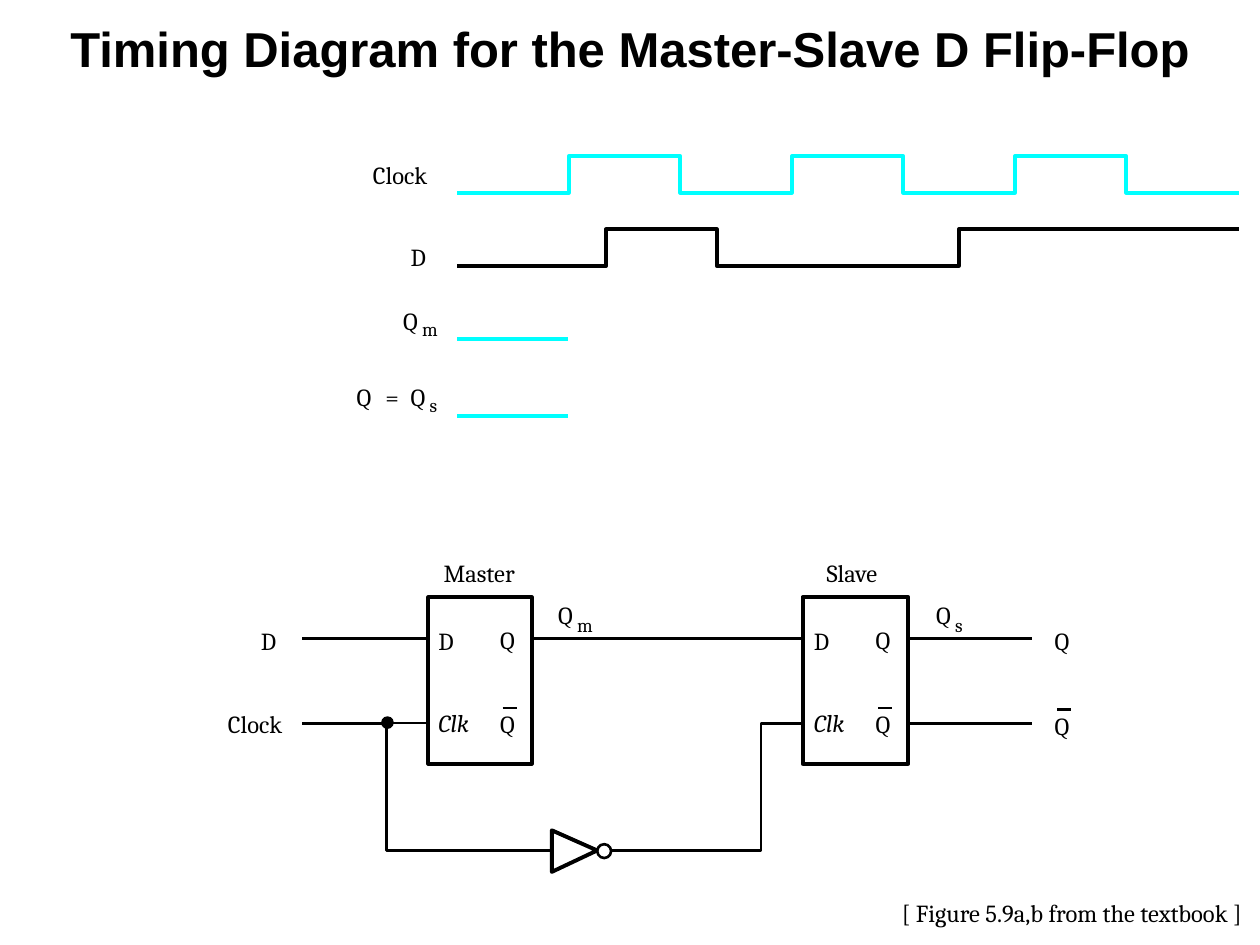
from pptx import Presentation
from pptx.dml.color import RGBColor
from pptx.enum.shapes import MSO_CONNECTOR, MSO_SHAPE
from pptx.enum.text import MSO_ANCHOR, MSO_AUTO_SIZE, PP_ALIGN
from pptx.oxml.ns import qn
from pptx.util import Inches, Pt
from lxml import etree

BLACK = RGBColor(0, 0, 0)
WHITE = RGBColor(255, 255, 255)
CYAN = RGBColor(0, 255, 255)
STRAIGHT = MSO_CONNECTOR.STRAIGHT
RECTANGLE, OVAL = MSO_SHAPE.RECTANGLE, MSO_SHAPE.OVAL
TOP = MSO_ANCHOR.TOP
CENTER = PP_ALIGN.CENTER
FIT_SHAPE, NO_FIT = MSO_AUTO_SIZE.SHAPE_TO_FIT_TEXT, MSO_AUTO_SIZE.NONE
TITLE_ONLY = 5

WAVE_START, WAVE_END, KNOWN_END = 3.63, 9.83, 4.51
PULSE = 0.29
HALF_PERIOD = 0.885
DATA_Y, CLOCK_Y, INVERTER_Y = 5.07, 5.74, 6.75
LATCH_TOP, LATCH_HEIGHT = 4.74, 1.32
OUTPUT_END = 8.19


class Diagram:
    """Draws timing and circuit elements on one page in a shared style."""

    def __init__(self, page, font="Cambria"):
        self.page = page
        self.shapes = page.shapes
        self.font = font

    def title(self, text):
        box = self.shapes.title
        box.left, box.top = Inches(0), Inches(0.1)
        box.width, box.height = Inches(10), Inches(0.67)
        frame = box.text_frame
        frame.text = text
        frame.vertical_anchor = TOP
        frame.auto_size = NO_FIT
        para = frame.paragraphs[0]
        para.alignment = CENTER
        self.set_font(para.font, 28, "Arial")
        para.font.bold = True

    def set_font(self, font, size, name):
        font.size, font.name = Pt(size), name
        font.color.rgb = BLACK

    def label(self, text, left, top, width=0.3, height=0.3, size=14, italic=False, margin=0):
        box = self.shapes.add_textbox(Inches(left), Inches(top), Inches(width), Inches(height))
        frame = box.text_frame
        frame.margin_left = frame.margin_right = Inches(margin)
        frame.margin_top = frame.margin_bottom = Inches(margin / 2)
        frame.word_wrap = False
        frame.auto_size = FIT_SHAPE
        frame.text = text
        font = frame.paragraphs[0].font
        self.set_font(font, size, self.font)
        font.italic = italic

    def indexed_q(self, index, left, top, drop):
        self.label("Q", left, top)
        self.label(index, left + 0.15, top + drop, 0.2, 0.22, size=11)

    def inverted_q(self, left, top):
        self.label("Q", left, top)
        self.line(left + 0.02, top - 0.01, left + 0.13, top - 0.01, weight=1.38)

    def line(self, x1, y1, x2, y2, color=BLACK, weight=1.5):
        wire = self.shapes.add_connector(STRAIGHT, Inches(x1), Inches(y1), Inches(x2), Inches(y2))
        wire.line.color.rgb = color
        wire.line.width = Pt(weight)
        etree.SubElement(wire.element.spPr, qn("a:effectLst"))

    def finish(self, shape, fill, color, weight):
        shape.shadow.inherit = False
        if fill is None:
            shape.fill.background()
        else:
            shape.fill.solid()
            shape.fill.fore_color.rgb = fill
        shape.line.color.rgb = color
        shape.line.width = Pt(weight)

    def shape(self, kind, left, top, width, height, fill=WHITE, weight=2.25):
        shape = self.shapes.add_shape(kind, Inches(left), Inches(top), Inches(width), Inches(height))
        self.finish(shape, fill, BLACK, weight)

    def outline(self, points, color=BLACK, weight=1.5, fill=None, close=False):
        corners = [(Inches(x), Inches(y)) for x, y in points]
        builder = self.shapes.build_freeform(*corners[0])
        builder.add_line_segments(corners[1:], close=close)
        self.finish(builder.convert_to_shape(), fill, color, weight)

    def waveform(self, high, edges, color):
        levels = [high + PULSE, high]
        points = [(WAVE_START, levels[0])]
        for number, x in enumerate(edges):
            points += [(x, levels[number % 2]), (x, levels[(number + 1) % 2])]
        points.append((WAVE_END, levels[len(edges) % 2]))
        self.outline(points, color, 2.25)

    def latch(self, name, name_left, left, width, inset):
        self.shape(RECTANGLE, left, LATCH_TOP, width, LATCH_HEIGHT)
        self.label(name, name_left, 4.43, 0.65)
        output_left = left + width - inset - 0.17
        self.label("D", left + inset, 4.97)
        self.label("Q", output_left, 4.96)
        self.label("Clk", left + inset, 5.62, 0.36, 0.26, italic=True)
        self.inverted_q(output_left, 5.63)


def draw_timing(diagram):
    clock_edges = [WAVE_START + HALF_PERIOD * step for step in range(1, 7)]
    diagram.waveform(1.24, clock_edges, CYAN)
    diagram.waveform(1.82, [4.81, 5.69, 7.61], BLACK)
    for y in (2.69, 3.3):
        diagram.line(WAVE_START, y, KNOWN_END, y, CYAN, 2.25)
    diagram.label("Clock", 2.96, 1.27, 0.59, 0.26)
    diagram.label("D", 3.26, 1.92)
    diagram.indexed_q("m", 3.2, 2.43, 0.09)
    diagram.label("Q", 2.83, 3.03)
    diagram.label("=", 3.06, 3.03)
    diagram.indexed_q("s", 3.26, 3.03, 0.09)


def draw_circuit(diagram):
    diagram.outline([(6.37, CLOCK_Y), (6.04, CLOCK_Y), (6.04, INVERTER_Y), (4.85, INVERTER_Y)])
    diagram.outline([(2.4, CLOCK_Y), (3.07, CLOCK_Y), (3.07, INVERTER_Y), (4.38, INVERTER_Y)])
    diagram.line(3.07, CLOCK_Y, 3.4, CLOCK_Y, weight=1.38)
    for start, end in ((2.4, 3.4), (4.22, 6.37), (7.21, OUTPUT_END)):
        diagram.line(start, DATA_Y, end, DATA_Y)
    diagram.line(7.21, CLOCK_Y, OUTPUT_END, CLOCK_Y)
    diagram.latch("Master", 3.52, 3.4, 0.82, 0.08)
    diagram.latch("Slave", 6.56, 6.37, 0.84, 0.09)
    diagram.outline([(4.74, INVERTER_Y), (4.38, 6.92), (4.38, 6.59)], weight=2.25, fill=WHITE, close=True)
    diagram.shape(OVAL, 4.74, 6.7, 0.11, 0.11, weight=1.5)
    diagram.shape(OVAL, 3.03, 5.69, 0.09, 0.09, fill=BLACK, weight=0.75)
    diagram.label("D", 2.07, 4.97)
    diagram.label("Clock", 1.81, 5.63, 0.67)
    diagram.label("Q", 8.37, 4.97)
    diagram.inverted_q(8.37, 5.64)
    diagram.indexed_q("m", 4.43, 4.76, 0.11)
    diagram.indexed_q("s", 7.43, 4.76, 0.11)


def main():
    deck = Presentation()
    deck.slide_width, deck.slide_height = Inches(10), Inches(7.5)
    diagram = Diagram(deck.slides.add_slide(deck.slide_layouts[TITLE_ONLY]))
    diagram.title("Timing Diagram for the Master-Slave D Flip-Flop")
    draw_timing(diagram)
    draw_circuit(diagram)
    diagram.label("[ Figure 5.9a,b from the textbook ]", 7.06, 7.08, 2.93, 0.34, margin=0.1)
    deck.save("out.pptx")


if __name__ == "__main__":
    main()
